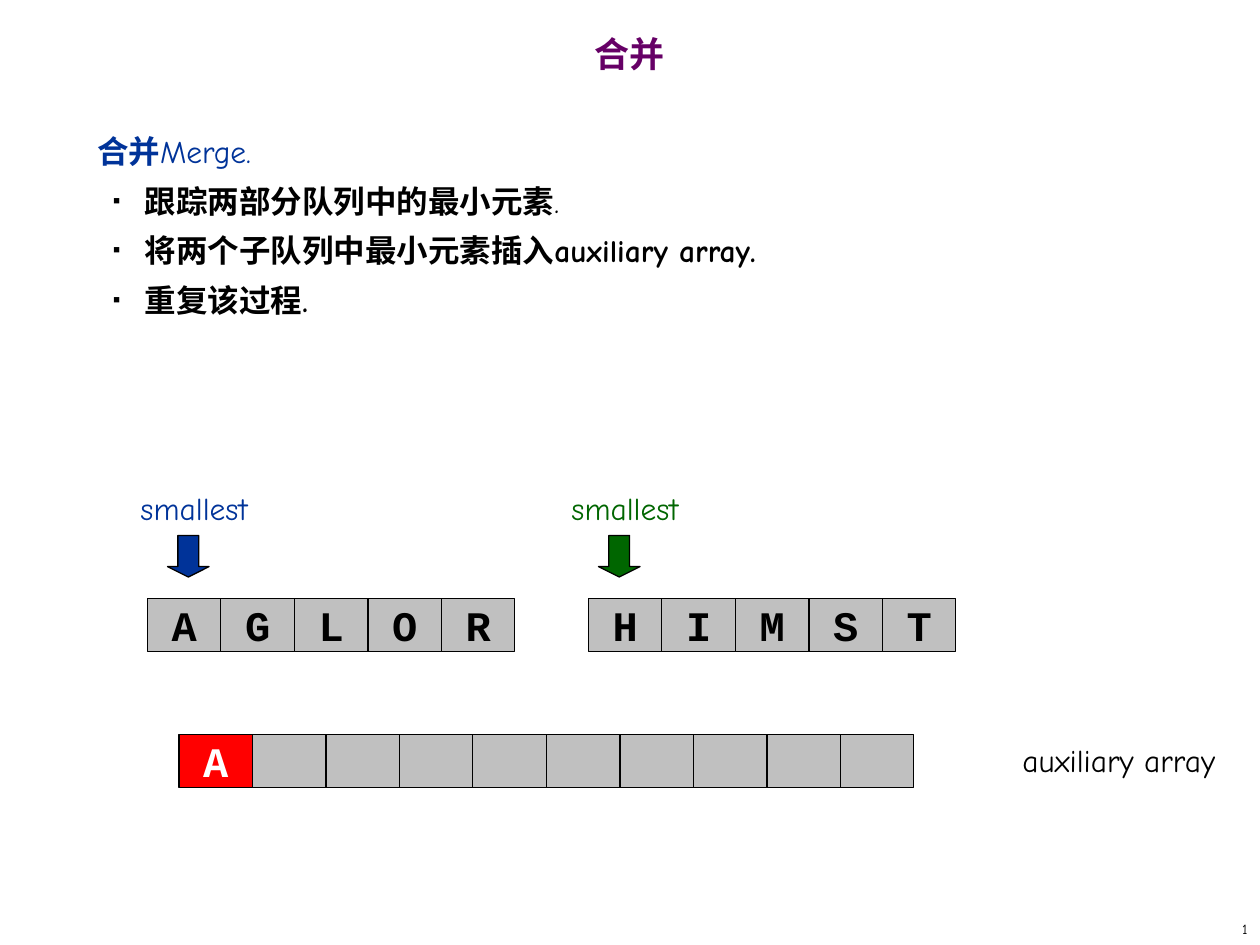
from lxml import etree
from pptx import Presentation
from pptx.dml.color import RGBColor
from pptx.enum.shapes import MSO_SHAPE as SHAPE
from pptx.enum.text import MSO_ANCHOR as ANCHOR, MSO_AUTO_SIZE as AUTO_SIZE, PP_ALIGN as ALIGN
from pptx.oxml import parse_xml
from pptx.oxml.ns import nsdecls, qn
from pptx.util import Inches, Pt

BLUE, GREEN, PURPLE = "003399", "006600", "660066"
BLACK, WHITE, GRAY, RED = "000000", "FFFFFF", "C0C0C0", "FF0000"
CELL_WIDTH, CELL_HEIGHT = 7 / 12, 0.42


def style(paragraph, size, color, font="Comic Neue", bold=False, align=None):
    paragraph.alignment = align
    for run in paragraph.runs:
        run.font.size = Pt(size)
        run.font.name = font
        run.font.bold = bold
        run.font.color.rgb = RGBColor.from_string(color)


def add_block(kind, left, top, width, height, fill, line=BLACK):
    block = slide.shapes.add_shape(kind, Inches(left), Inches(top), Inches(width), Inches(height))
    block.shadow.inherit = False
    block.fill.solid()
    block.fill.fore_color.rgb = RGBColor.from_string(fill)
    block.line.color.rgb = RGBColor.from_string(line)
    block.line.width = Pt(0.75)
    return block


prs = Presentation()
prs.slide_width, prs.slide_height = Inches(10), Inches(7.5)
slide = prs.slides.add_slide(prs.slide_layouts[1])

title = slide.shapes.title
title.left, title.top, title.width, title.height = Inches(0), Inches(0.17), Inches(10), Inches(0.59)
title.text_frame.text = "合并"
title.text_frame.auto_size = AUTO_SIZE.NONE
title.text_frame.vertical_anchor = ANCHOR.MIDDLE
heading = title.text_frame.paragraphs[0]
heading.line_spacing = 0.7
style(heading, 20, PURPLE, bold=True, align=ALIGN.CENTER)

steps = slide.placeholders[1]
steps.left, steps.top, steps.width, steps.height = Inches(0.67), Inches(1), Inches(8.58), Inches(5.92)
steps.text_frame.auto_size = AUTO_SIZE.NONE
step_lines = [
    ("合并", "Merge."),
    ("跟踪两部分队列中的最小元素", "."),
    ("将两个子队列中最小元素插入auxiliary array.", ""),
    ("重复该过程.", ""),
]
for i, (strong, light) in enumerate(step_lines):
    step = steps.text_frame.paragraphs[0] if i == 0 else steps.text_frame.add_paragraph()
    props = step._p.get_or_add_pPr()
    if i == 0:
        props.set("marL", "0")
        props.set("indent", "0")
        etree.SubElement(props, qn("a:buNone"))
        step.space_before = Pt(0)
    else:
        step.level = 1
        props.set("marL", str(Inches(0.38)))
        props.set("indent", str(Inches(-0.25)))
        for bullet in (
            f'<a:buClr {nsdecls("a")}><a:srgbClr val="{BLACK}"/></a:buClr>',
            f'<a:buSzPct {nsdecls("a")} val="35000"/>',
            f'<a:buChar {nsdecls("a")} char="■"/>',
        ):
            props.append(parse_xml(bullet))
        step.line_spacing = 1.1
        step.space_before = Pt(4.5)
    step.add_run().text = strong
    if light:
        step.add_run().text = light
    style(step, 18, BLACK if i else BLUE, bold=True)
    if light:
        step.runs[1].font.bold = False

labels = [
    ("auxiliary array", 7.92, 5.83, 1.92, 0.4, 18, BLACK, ALIGN.CENTER),
    ("smallest", 0.5, 3.83, 2.08, 0.4, 18, BLUE, ALIGN.CENTER),
    ("smallest", 3.92, 3.83, 2.08, 0.4, 18, GREEN, ALIGN.CENTER),
    ("1", 7.92, 7.25, 2.08, 0.25, 8, BLACK, ALIGN.RIGHT),
]
for text, left, top, width, height, size, color, align in labels:
    label = slide.shapes.add_textbox(Inches(left), Inches(top), Inches(width), Inches(height)).text_frame
    label.word_wrap = True
    label.vertical_anchor = ANCHOR.MIDDLE if align == ALIGN.RIGHT else ANCHOR.TOP
    label.text = text
    style(label.paragraphs[0], size, color, align=align)

for left, color in ((1.33, BLUE), (4.75, GREEN)):
    pointer = add_block(SHAPE.DOWN_ARROW, left, 4.25, 0.33, 0.33, color, "010000")
    pointer.adjustments[0], pointer.adjustments[1] = 0.5, 0.25

arrays = [
    (1.17, 4.75, "AGLOR", GRAY, BLACK),
    (4.67, 4.75, "HIMST", GRAY, BLACK),
    (1.42, 5.83, "A" + " " * 9, RED, WHITE),
]
for left, top, letters, first_fill, color in arrays:
    for i, letter in enumerate(letters):
        cell = add_block(SHAPE.RECTANGLE, left + i * CELL_WIDTH, top, CELL_WIDTH, CELL_HEIGHT,
                         GRAY if i else first_fill)
        if letter != " ":
            cell.text_frame.word_wrap = False
            cell.text_frame.vertical_anchor = ANCHOR.MIDDLE
            cell.text_frame.text = letter
            style(cell.text_frame.paragraphs[0], 24, color, "Courier New", True, ALIGN.CENTER)

prs.save("out.pptx")
